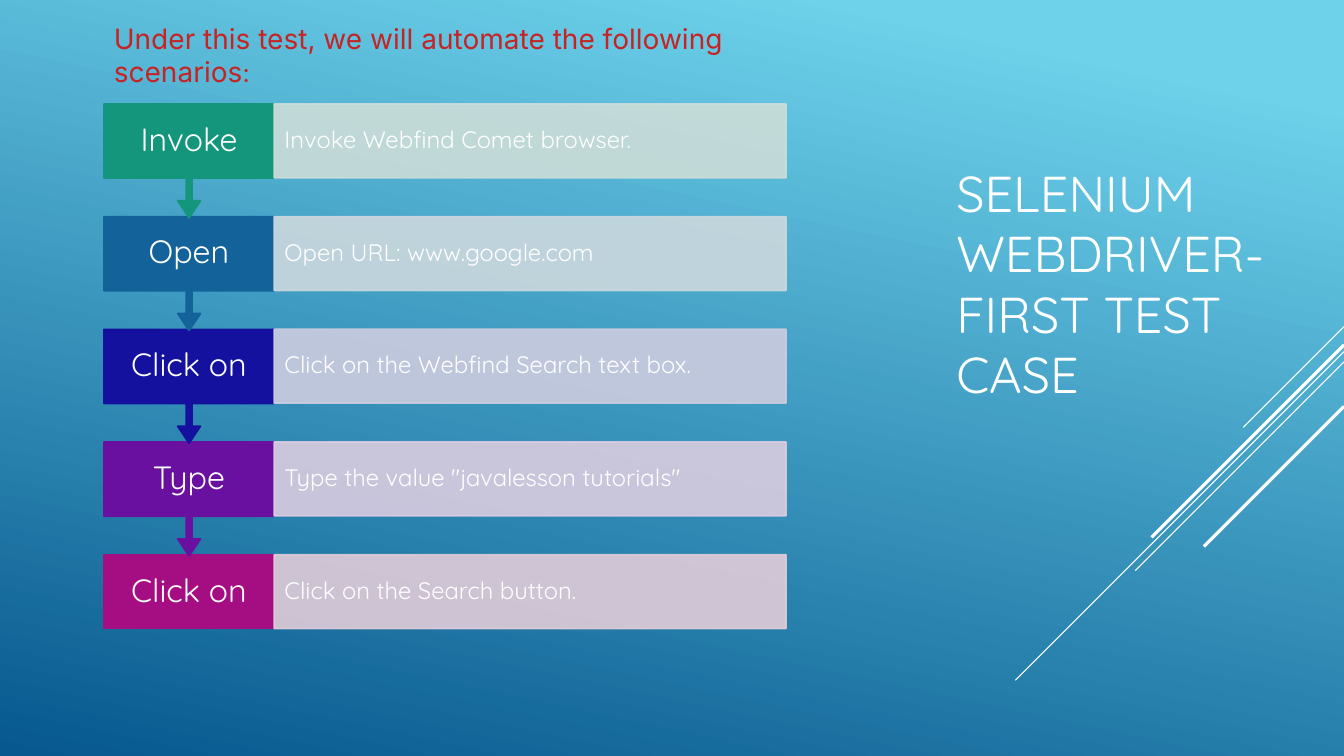
from lxml import etree
from pptx import Presentation
from pptx.dml.color import RGBColor
from pptx.enum.shapes import MSO_CONNECTOR, MSO_SHAPE
from pptx.enum.text import MSO_ANCHOR, MSO_AUTO_SIZE, PP_ALIGN
from pptx.oxml.ns import qn
from pptx.util import Cm, Pt

RECTANGLE = MSO_SHAPE.RECTANGLE
ARROW_CALLOUT = MSO_SHAPE.UP_ARROW_CALLOUT
STRAIGHT = MSO_CONNECTOR.STRAIGHT
MIDDLE = MSO_ANCHOR.MIDDLE
TOP = MSO_ANCHOR.TOP
LEFT = PP_ALIGN.LEFT
CENTER = PP_ALIGN.CENTER
GROW = MSO_AUTO_SIZE.SHAPE_TO_FIT_TEXT

PAGE_WIDTH, PAGE_HEIGHT = 33.87, 19.05
COLORS = {"sky": "6ED2EB", "ocean": "06588E", "white": "FFFFFF", "red": "C62324"}

STEP_LEFT, STEP_TOP, STEP_PITCH = 2.62, 2.62, 2.84
STEP_HEIGHT, CALLOUT_HEIGHT = 1.86, 2.87
LABEL_WIDTH, DETAIL_WIDTH = 4.29, 12.9
STEPS = [
    ("Invoke", "Invoke Webfind Comet browser.", "14967C", "CCDDD8"),
    ("Open", "Open URL: www.google.com", "13639A", "CCD8DE"),
    ("Click on", "Click on the Webfind Search text box.", "13119D", "CDCCDF"),
    ("Type", 'Type the value "javalesson tutorials"', "6A10A1", "DACCE0"),
    ("Click on", "Click on the Search button.", "A50E82", "E1CCD8"),
]
STREAKS = [
    (8.23, 2.54, 0.75),
    (8.86, 8.28, 0.75),
    (9.12, 5.26, 0.75),
    (8.69, 4.85, 2.25),
    (10.24, 3.53, 2.25),
]

LABEL_FRAME = {"margin_left": Cm(0.3), "margin_right": Cm(0.3),
               "margin_top": 0, "margin_bottom": 0}
DETAIL_FRAME = {**LABEL_FRAME, "margin_left": Cm(0.26), "margin_right": Cm(0.26)}
LABEL_PARA = {"alignment": CENTER, "line_spacing": 0.9}
DETAIL_PARA = {"alignment": LEFT, "line_spacing": 0.9}
HEADING_PARA = {"alignment": LEFT, "space_after": Pt(6)}


def apply_format(target, values):
    """Set every attribute in the dict on the target."""
    for name, value in values.items():
        setattr(target, name, value)


def write_text(shape, spans, font, color, frame_values, para_values):
    """Fill a shape with one paragraph made of (text, size) spans."""
    frame = shape.text_frame
    apply_format(frame, {"word_wrap": True, "vertical_anchor": MIDDLE, **frame_values})
    para = frame.paragraphs[0]
    apply_format(para, para_values)
    for text, size in spans:
        span = para.add_run()
        span.text = text
        apply_format(span.font, {"name": font, "size": Pt(size)})
        span.font.color.rgb = RGBColor.from_string(color)


def add_text(shapes, bounds, *text_settings):
    """Add a text box at the given bounds in centimetres."""
    box = shapes.add_textbox(*map(Cm, bounds))
    write_text(box, *text_settings)


def add_block(shapes, kind, bounds, color, opacity=100):
    """Add a shape with the same fill and outline colour."""
    block = shapes.add_shape(kind, *map(Cm, bounds))
    block.shadow.inherit = False
    block.line.width = Pt(1.25)
    block.fill.solid()
    for fill in (block.fill, block.line.fill):
        fill.solid()
        fill.fore_color.rgb = RGBColor.from_string(color)
    if opacity < 100:
        for tint in block._element.spPr.iter(qn("a:srgbClr")):
            etree.SubElement(tint, qn("a:alpha"), val=str(opacity * 1000))
    return block


def add_backdrop(page):
    """Cover the page with the blue gradient."""
    backdrop = page.shapes.add_shape(RECTANGLE, 0, 0, Cm(PAGE_WIDTH), Cm(PAGE_HEIGHT))
    backdrop.shadow.inherit = False
    backdrop.line.fill.background()
    backdrop.fill.gradient()
    backdrop.fill.gradient_angle = 258
    stops = backdrop.fill.gradient_stops
    for stop, position, name in zip(stops, (0.1, 1), ("sky", "ocean")):
        stop.position = position
        stop.color.rgb = RGBColor.from_string(COLORS[name])


def add_streaks(page):
    """Draw the diagonal lines that run in from the right edge."""
    group = page.shapes.add_group_shape()
    for top, reach, weight in STREAKS:
        ends = (PAGE_WIDTH, top, PAGE_WIDTH - reach, top + reach)
        streak = group.shapes.add_connector(STRAIGHT, *map(Cm, ends))
        streak.line.width = Pt(weight)
        streak.line.color.rgb = RGBColor.from_string(COLORS["white"])
        etree.SubElement(streak._element.spPr, qn("a:effectLst"))


def add_step(shapes, index):
    """Add one step: its label, the arrow to the next step and its detail."""
    label, detail, strong, pale = STEPS[index]
    top = STEP_TOP + index * STEP_PITCH
    label_bounds = (STEP_LEFT, top, LABEL_WIDTH, STEP_HEIGHT)
    if index == len(STEPS) - 1:
        add_block(shapes, RECTANGLE, label_bounds, strong)
    else:
        bounds = (STEP_LEFT, top, LABEL_WIDTH, CALLOUT_HEIGHT)
        callout = add_block(shapes, ARROW_CALLOUT, bounds, strong)
        callout.rotation = 180
        for position, value in enumerate((0.05, 0.1, 0.15, 0.65)):
            callout.adjustments[position] = value
    add_text(shapes, label_bounds, [(label, 23)], "Quicksand", COLORS["white"],
             LABEL_FRAME, LABEL_PARA)
    bounds = (STEP_LEFT + LABEL_WIDTH, top, DETAIL_WIDTH, STEP_HEIGHT)
    panel = add_block(shapes, RECTANGLE, bounds, pale, 90)
    write_text(panel, [(detail, 17)], "Quicksand", COLORS["white"],
               DETAIL_FRAME, DETAIL_PARA)


def main():
    """Build the slide and save the deck."""
    deck = Presentation()
    apply_format(deck, {"slide_width": Cm(PAGE_WIDTH), "slide_height": Cm(PAGE_HEIGHT)})
    page = deck.slides.add_slide(deck.slide_layouts[6])
    add_backdrop(page)
    add_streaks(page)
    add_text(page.shapes, (23.85, 2.62, 8.46, 9.02),
             [("SELENIUM WEBDRIVER- FIRST TEST CASE", 36)],
             "Quicksand", COLORS["white"], {}, HEADING_PARA)
    add_text(page.shapes, (2.62, 0.41, 16.97, 1.96),
             [("Under this test, we will automate the following scenarios", 20), (":", 18)],
             "Inter", COLORS["red"], {"vertical_anchor": TOP, "auto_size": GROW},
             HEADING_PARA)
    flow = page.shapes.add_group_shape()
    for index in reversed(range(len(STEPS))):
        add_step(flow.shapes, index)
    deck.save("out.pptx")


if __name__ == "__main__":
    main()
